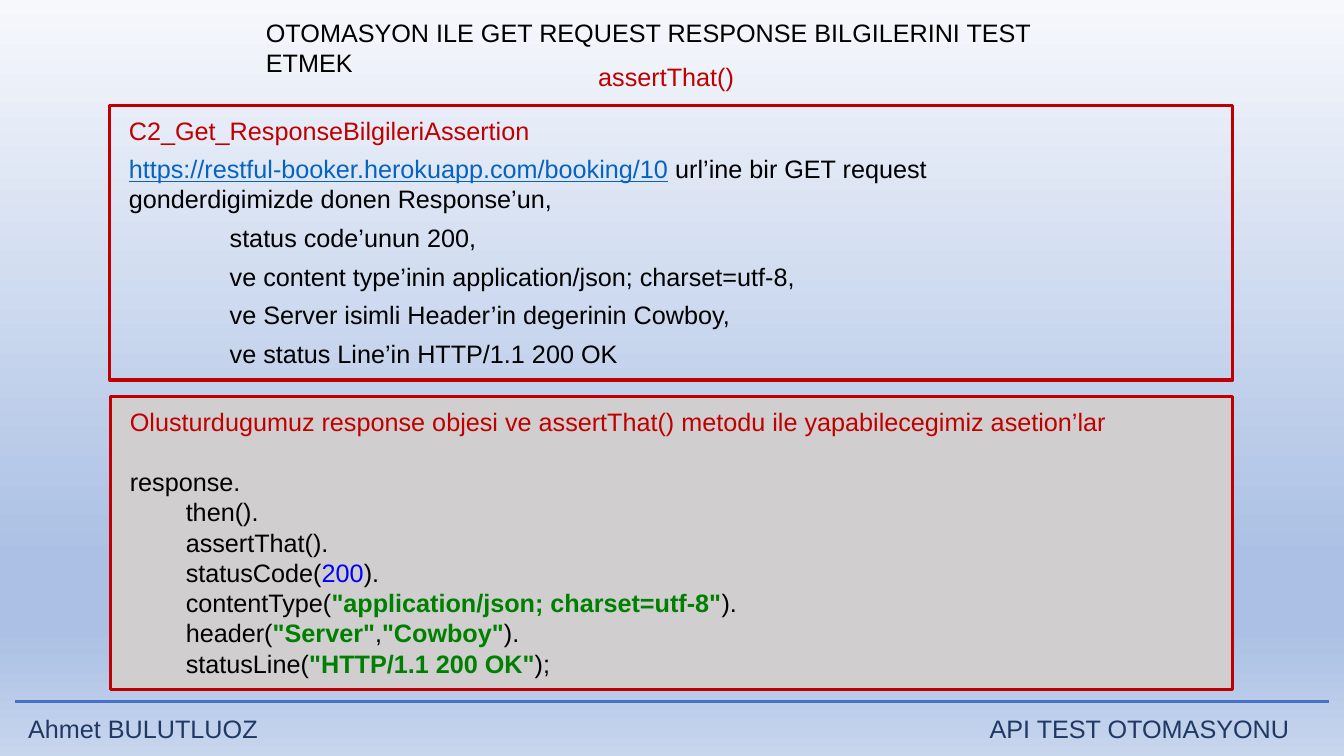
from copy import deepcopy

from pptx import Presentation
from pptx.dml.color import RGBColor
from pptx.enum.shapes import MSO_CONNECTOR, MSO_SHAPE
from pptx.enum.text import PP_ALIGN
from pptx.oxml.ns import qn
from pptx.oxml.xmlchemy import OxmlElement
from pptx.util import Pt

BLACK, RED, NAVY = "000000", "C00000", "203864"
LINK, NUMBER, STRING = "0563C1", "0000FF", "008000"
GRADIENT = [(0, "F6F8FC"), (0.74, "ABC0E4"), (0.83, "ABC0E4"), (1, "C7D5ED")]

EXPECTATIONS = [
    "status code’unun 200,",
    "ve content type’inin application/json; charset=utf-8,",
    "ve Server isimli Header’in degerinin Cowboy,",
    "ve status Line’in HTTP/1.1 200 OK",
]
CODE = [
    [("response.", BLACK)],
    [("        then().", BLACK)],
    [("        assertThat().", BLACK)],
    [("        statusCode(", BLACK), ("200", NUMBER), (").", BLACK)],
    [("        contentType(", BLACK), ('"application/json; charset=utf-8"', STRING), (").", BLACK)],
    [("        header(", BLACK), ('"Server"', STRING), (",", BLACK), ('"Cowboy"', STRING), (").", BLACK)],
    [("        statusLine(", BLACK), ('"HTTP/1.1 200 OK"', STRING), (");", BLACK)],
]


def color(value):
    return RGBColor.from_string(value)


class SlideBuilder:
    font = "Arial"
    size = 18
    line_width = 2.25
    line_pitch = 21.5

    def __init__(self, page):
        self.page = page

    def background(self, stops):
        fill = self.page.background.fill
        fill.gradient()
        fill.gradient_angle = 270
        stop_list = self.page._element.find(".//" + qn("a:gsLst"))
        while len(stop_list) < len(stops):
            stop_list.append(deepcopy(stop_list[0]))
        for stop, (position, value) in zip(fill.gradient_stops, stops):
            stop.position = position
            stop.color.rgb = color(value)

    def line(self, left, top, right, value):
        line = self.page.shapes.add_connector(
            MSO_CONNECTOR.STRAIGHT, Pt(left), Pt(top), Pt(right), Pt(top))
        line.line.color.rgb = color(value)
        line.line.width = Pt(self.line_width)
        line._element.spPr.append(OxmlElement("a:effectLst"))

    def frame(self, left, top, width, height, fill=None):
        box = self.page.shapes.add_shape(
            MSO_SHAPE.RECTANGLE, Pt(left), Pt(top), Pt(width), Pt(height))
        box.shadow.inherit = False
        if fill:
            box.fill.solid()
            box.fill.fore_color.rgb = color(fill)
        else:
            box.fill.background()
        box.line.color.rgb = color(RED)
        box.line.width = Pt(self.line_width)

    def text(self, left, top, width, height, lines, align=PP_ALIGN.LEFT):
        box = self.page.shapes.add_textbox(Pt(left), Pt(top), Pt(width), Pt(height))
        box.text_frame.word_wrap = True
        for index, spans in enumerate(lines):
            para = box.text_frame.paragraphs[0] if index == 0 else box.text_frame.add_paragraph()
            para.alignment = align
            for words, value in spans:
                span = para.add_run()
                span.text = words
                span.font.name = self.font
                span.font.size = Pt(self.size)
                span.font.color.rgb = color(value)
                span.font.bold = value == STRING
                span.font.underline = value == LINK
        return box.text_frame.paragraphs


def main():
    deck = Presentation()
    deck.slide_width, deck.slide_height = Pt(960), Pt(540)
    builder = SlideBuilder(deck.slides.add_slide(deck.slide_layouts[6]))
    builder.background(GRADIENT)

    builder.line(10.8, 501, 949, "4472C4")
    builder.text(13, 506.2, 400, 29, [[("Ahmet BULUTLUOZ", NAVY)]])
    builder.text(528, 506.2, 400, 29, [[("API TEST OTOMASYONU", NAVY)]], PP_ALIGN.RIGHT)

    title = "OTOMASYON ILE GET REQUEST RESPONSE BILGILERINI TEST ETMEK"
    builder.text(182.9, 8.6, 599.8, 29, [[(title, BLACK)]])
    builder.text(420.2, 40.3, 126, 29, [[("assertThat()", RED)]])

    builder.frame(78.5, 75.5, 802, 196)
    builder.text(85, 78.5, 315, 29, [[("C2_Get_ResponseBilgileriAssertion", RED)]])
    request = [
        ("https://restful-booker.herokuapp.com/booking/10", LINK),
        (" url’ine bir GET request gonderdigimizde donen Response’un,", BLACK),
    ]
    task = builder.text(85, 106, 688.3, 163, [request] + [[(line, BLACK)] for line in EXPECTATIONS])
    for para in task[1:]:
        para.space_before = Pt(6)
        para._p.get_or_add_pPr().set("marL", str(Pt(72)))

    builder.frame(79.2, 283, 801.4, 209.5, "D0CECE")
    heading = "Olusturdugumuz response objesi ve assertThat() metodu ile yapabilecegimiz asetion’lar"
    listing = builder.text(85.7, 286.6, 794.9, 203.8, [[(heading, RED)]] + CODE)
    listing[1].space_before = Pt(builder.line_pitch)

    deck.save("out.pptx")


if __name__ == "__main__":
    main()
